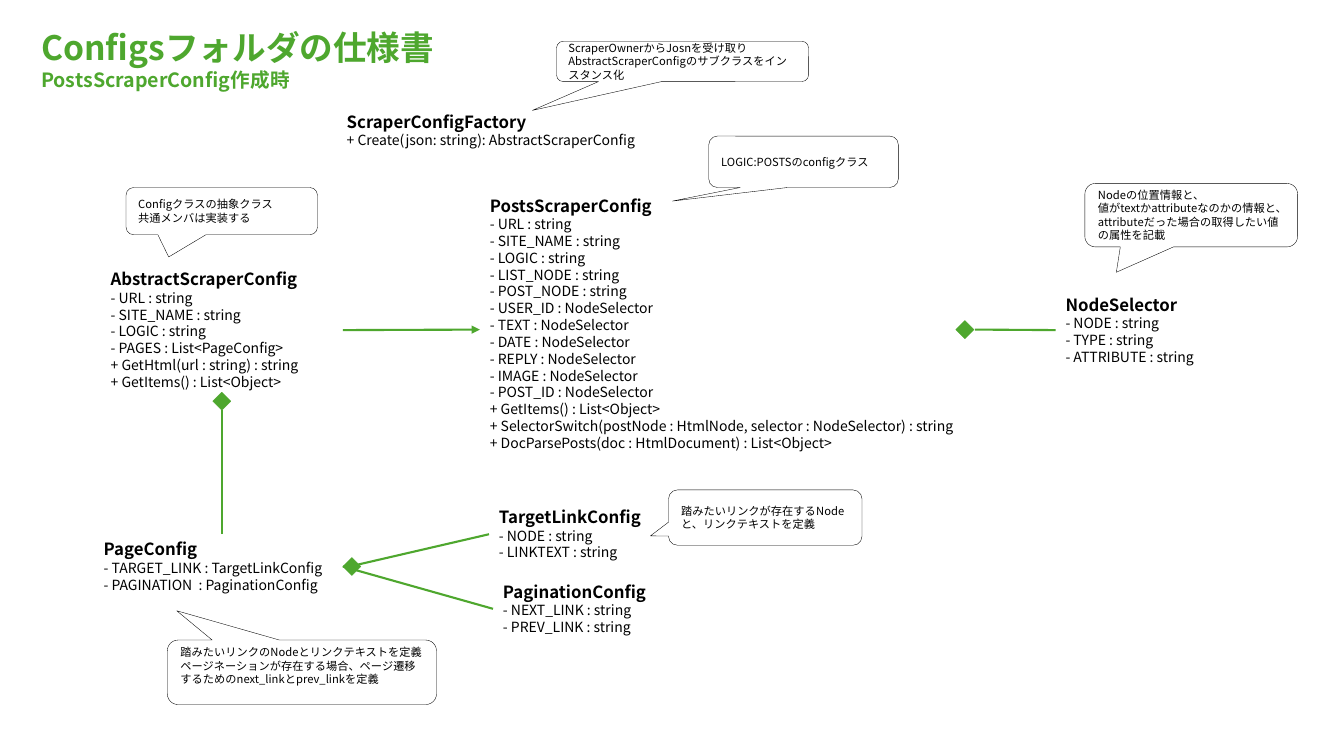
"""Build a class diagram slide for the Configs folder specification."""
from dataclasses import dataclass

from lxml.etree import SubElement
from pptx import Presentation
from pptx.dml.color import RGBColor
from pptx.enum.shapes import MSO_CONNECTOR, MSO_SHAPE
from pptx.enum.text import MSO_ANCHOR, MSO_AUTO_SIZE, PP_ALIGN
from pptx.oxml.ns import qn
from pptx.shapes.autoshape import Shape
from pptx.shapes.shapetree import SlideShapes
from pptx.text.text import TextFrame
from pptx.util import Inches, Pt

FONT = "Noto Sans CJK JP"
GREEN, BLACK, WHITE = "4EA72E", "000000", "FFFFFF"
DIAMOND_SIZE = 0.18
TOP, LEFT, BOTTOM, RIGHT = range(4)


@dataclass(frozen=True)
class Box:
    left: float
    top: float
    width: float
    height: float

    def lengths(self) -> list[int]:
        return [Inches(n) for n in (self.left, self.top, self.width, self.height)]


@dataclass(frozen=True)
class ClassEntry:
    name: str
    box: Box
    members: tuple[str, ...]


@dataclass(frozen=True)
class Callout:
    box: Box
    tip: tuple[float, float]
    lines: tuple[str, ...]
    bottom_inset: float = 0.05


@dataclass(frozen=True)
class Relation:
    source: str
    source_side: int
    target: str
    target_side: int
    arrow: bool = False


CLASSES = [
    ClassEntry("AbstractScraperConfig", Box(1, 2.62, 2.4, 1.31), (
        "- URL : string", "- SITE_NAME : string", "- LOGIC : string",
        "- PAGES : List<PageConfig>", "+ GetHtml(url : string) : string",
        "+ GetItems() : List<Object>")),
    ClassEntry("ScraperConfigFactory", Box(3.34, 1.06, 3.55, 0.47), (
        "+ Create(json: string): AbstractScraperConfig",)),
    ClassEntry("PostsScraperConfig", Box(4.76, 1.89, 4.91, 2.76), (
        "- URL : string", "- SITE_NAME : string", "- LOGIC : string",
        "- LIST_NODE : string", "- POST_NODE : string",
        "- USER_ID : NodeSelector", "- TEXT : NodeSelector",
        "- DATE : NodeSelector", "- REPLY : NodeSelector",
        "- IMAGE : NodeSelector", "- POST_ID : NodeSelector",
        "+ GetItems() : List<Object>",
        "+ SelectorSwitch(postNode : HtmlNode, selector : NodeSelector) : string",
        "+ DocParsePosts(doc : HtmlDocument) : List<Object>")),
    ClassEntry("NodeSelector", Box(10.47, 2.87, 2.86, 0.81), (
        "- NODE : string", "- TYPE : string", "- ATTRIBUTE : string")),
    ClassEntry("PageConfig", Box(0.93, 5.3, 2.54, 0.64), (
        "- TARGET_LINK : TargetLinkConfig", "- PAGINATION  : PaginationConfig")),
    ClassEntry("TargetLinkConfig", Box(4.85, 4.98, 1.78, 0.64), (
        "- NODE : string", "- LINKTEXT : string")),
    ClassEntry("PaginationConfig", Box(4.89, 5.72, 1.78, 0.64), (
        "- NEXT_LINK : string", "- PREV_LINK : string")),
]

OWNER_DIAMONDS = {
    "posts owner": (9.48, 3.18),
    "abstract owner": (2.11, 3.89),
    "page owner": (3.4, 5.53),
}

RELATIONS = [
    Relation("AbstractScraperConfig", RIGHT, "PostsScraperConfig", LEFT, arrow=True),
    Relation("PostsScraperConfig", RIGHT, "NodeSelector", LEFT),
    Relation("PageConfig", TOP, "abstract owner", BOTTOM),
    Relation("PageConfig", RIGHT, "TargetLinkConfig", LEFT),
    Relation("page owner", LEFT, "PaginationConfig", LEFT),
]

CALLOUTS = [
    Callout(Box(5.52, 0.41, 2.5, 0.4), (-0.596, 1.215), (
        "ScraperOwnerからJosnを受け取りAbstractScraperConfigのサブクラスをインスタンス化",)),
    Callout(Box(10.76, 1.82, 2.11, 0.63), (-0.352, 0.899), (
        "Nodeの位置情報と、",
        "値がtextかattributeなのかの情報と、attributeだった場合の取得したい値の属性を記載")),
    Callout(Box(1.25, 1.86, 1.9, 0.47), (-0.277, 0.968), (
        "Configクラスの抽象クラス", "共通メンバは実装する")),
    Callout(Box(7.03, 1.35, 1.88, 0.51), (-0.692, 0.765), (
        "LOGIC:POSTSのconfigクラス",)),
    Callout(Box(1.66, 6.35, 2.67, 0.64), (-0.465, -0.954), (
        "踏みたいリンクのNodeとリンクテキストを定義",
        "ページネーションが存在する場合、ページ遷移するためのnext_linkとprev_linkを定義"),
        bottom_inset=0.18),
    Callout(Box(6.63, 4.86, 1.92, 0.55), (-0.593, 0.33), (
        "踏みたいリンクが存在するNodeと、リンクテキストを定義",)),
]


def color(value: str) -> RGBColor:
    return RGBColor.from_string(value)


def write_line(frame: TextFrame, text: str, *, size: float,
               bold: bool = False, ink: str = BLACK) -> None:
    paragraph = frame.paragraphs[0]
    if paragraph.runs:
        paragraph = frame.add_paragraph()
    paragraph.alignment = PP_ALIGN.LEFT
    run = paragraph.add_run()
    run.text = text
    run.font.size = Pt(size)
    run.font.bold = bold
    run.font.name = FONT
    run.font.color.rgb = color(ink)
    SubElement(run.font._element, qn("a:ea"), typeface=FONT)


def add_frame(shapes: SlideShapes, box: Box) -> Shape:
    area = shapes.add_textbox(*box.lengths())
    area.text_frame.word_wrap = True
    area.text_frame.auto_size = MSO_AUTO_SIZE.SHAPE_TO_FIT_TEXT
    return area


def add_class(shapes: SlideShapes, entry: ClassEntry) -> Shape:
    area = add_frame(shapes, entry.box)
    write_line(area.text_frame, entry.name, size=12, bold=True)
    for member in entry.members:
        write_line(area.text_frame, member, size=10)
    return area


def add_outlined(shapes: SlideShapes, kind: MSO_SHAPE, box: Box,
                 fill: str, outline: str) -> Shape:
    shape = shapes.add_shape(kind, *box.lengths())
    shape.shadow.inherit = False
    shape.fill.solid()
    shape.fill.fore_color.rgb = color(fill)
    shape.line.color.rgb = color(outline)
    shape.line.width = Pt(0.25)
    return shape


def add_callout(shapes: SlideShapes, callout: Callout) -> None:
    bubble = add_outlined(shapes, MSO_SHAPE.ROUNDED_RECTANGULAR_CALLOUT,
                          callout.box, WHITE, BLACK)
    bubble.adjustments[0], bubble.adjustments[1] = callout.tip
    frame = bubble.text_frame
    frame.word_wrap = True
    frame.vertical_anchor = MSO_ANCHOR.MIDDLE
    frame.margin_bottom = Inches(callout.bottom_inset)
    for line in callout.lines:
        write_line(frame, line, size=8)


def add_relation(shapes: SlideShapes, relation: Relation, nodes: dict[str, Shape]) -> None:
    link = shapes.add_connector(MSO_CONNECTOR.STRAIGHT, 0, 0, 0, 0)
    link.begin_connect(nodes[relation.source], relation.source_side)
    link.end_connect(nodes[relation.target], relation.target_side)
    link.line.color.rgb = color(GREEN)
    link.line.width = Pt(1.5)
    if relation.arrow:
        SubElement(link.line._get_or_add_ln(), qn("a:tailEnd"), type="triangle")
    SubElement(link._element.spPr, qn("a:effectLst"))


def main() -> None:
    deck = Presentation()
    deck.slide_width, deck.slide_height = Inches(13.33), Inches(7.5)
    shapes = deck.slides.add_slide(deck.slide_layouts[6]).shapes

    heading = add_frame(shapes, Box(0.31, 0.22, 4.45, 0.74)).text_frame
    write_line(heading, "Configsフォルダの仕様書", size=24, bold=True, ink=GREEN)
    write_line(heading, "PostsScraperConfig作成時", size=14, bold=True, ink=GREEN)

    nodes = {entry.name: add_class(shapes, entry) for entry in CLASSES}
    for owner, corner in OWNER_DIAMONDS.items():
        nodes[owner] = add_outlined(shapes, MSO_SHAPE.DIAMOND,
                                    Box(*corner, DIAMOND_SIZE, DIAMOND_SIZE), GREEN, GREEN)
    for relation in RELATIONS:
        add_relation(shapes, relation, nodes)
    for callout in CALLOUTS:
        add_callout(shapes, callout)
    deck.save("out.pptx")


if __name__ == "__main__":
    main()
